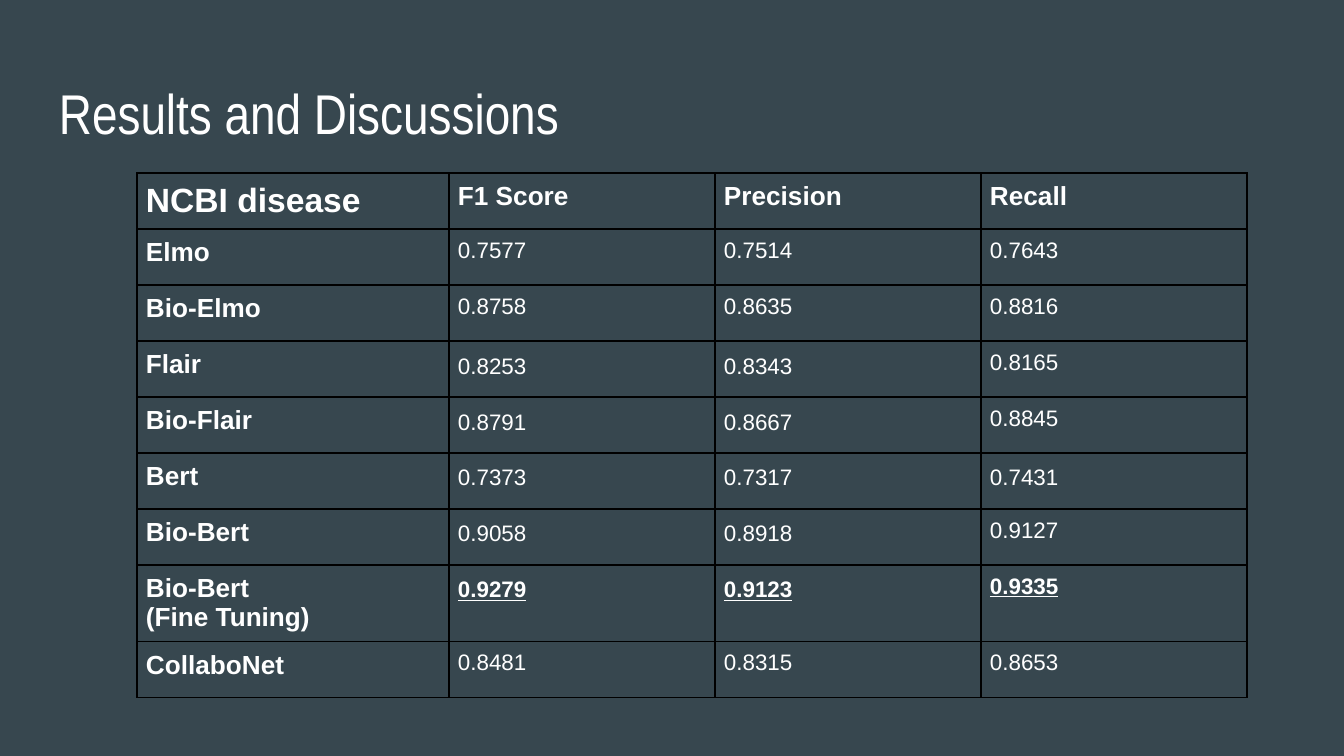
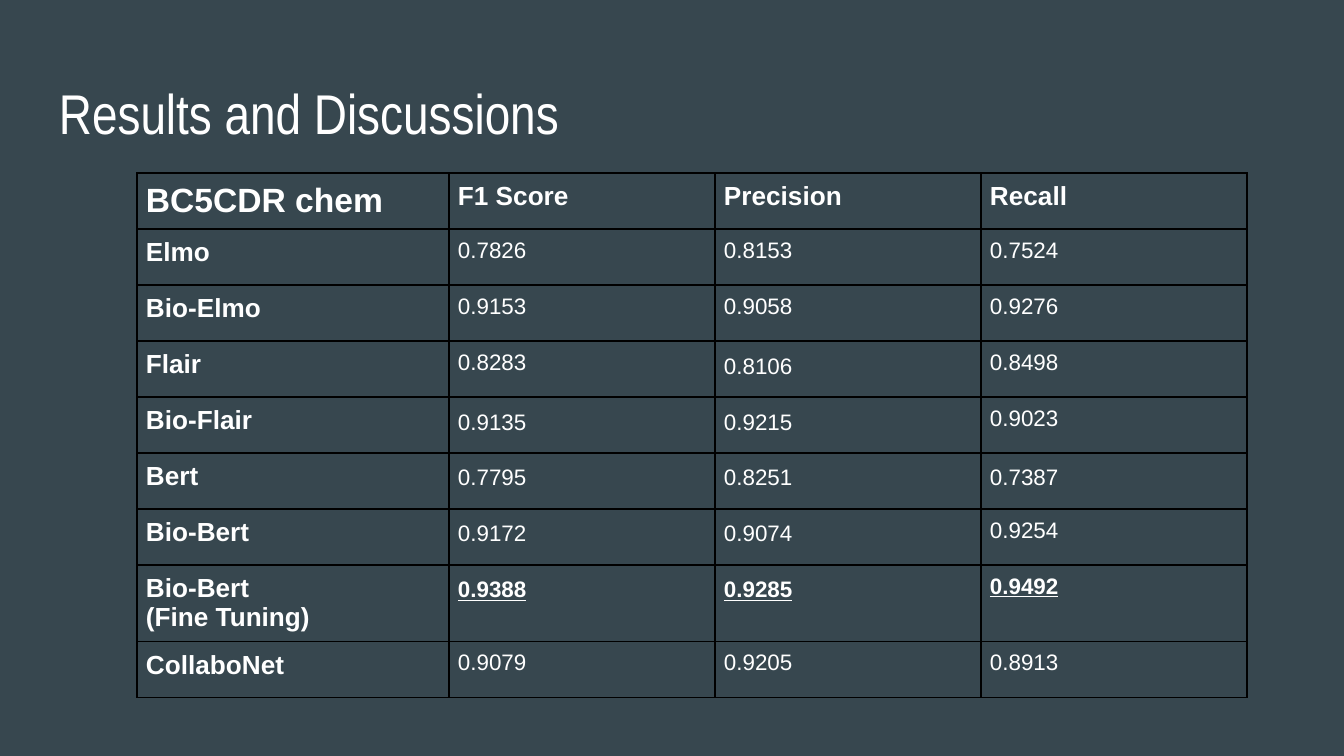
from dataclasses import dataclass

from lxml import etree
from pptx import Presentation
from pptx import util as u
from pptx.dml.color import RGBColor
from pptx.enum import text
from pptx.oxml.ns import qn

# Shared style
SCALE = 914400 / 134.4  # EMU in one pixel
BACKGROUND = RGBColor(0x37, 0x47, 0x4F)
WHITE = RGBColor(0xFF, 0xFF, 0xFF)
BORDER = RGBColor(0x00, 0x00, 0x00)
TITLE_FONT, BODY_FONT = "Arial Narrow", "Arial"
TITLE = "Results and Discussions"
HEADINGS = ("F1 Score", "Precision", "Recall")
COL_WIDTHS = (312, 266, 266, 266)
ROW_HEIGHT = 56
LOOSE_SPACING = 1.15


@dataclass(frozen=True)
class Model:
    name: str
    scores: tuple[str, str, str]
    loose: tuple[int, ...] = ()  # score columns with wider line spacing
    best: bool = False


@dataclass(frozen=True)
class Benchmark:
    dataset: str
    models: tuple[Model, ...]


BENCHMARKS = (
    Benchmark("NCBI disease", (
        Model("Elmo", ("0.7577", "0.7514", "0.7643")),
        Model("Bio-Elmo", ("0.8758", "0.8635", "0.8816")),
        Model("Flair", ("0.8253", "0.8343", "0.8165"), (0, 1)),
        Model("Bio-Flair", ("0.8791", "0.8667", "0.8845"), (0, 1)),
        Model("Bert", ("0.7373", "0.7317", "0.7431"), (0, 1, 2)),
        Model("Bio-Bert", ("0.9058", "0.8918", "0.9127"), (0, 1)),
        Model("Bio-Bert \n(Fine Tuning)", ("0.9279", "0.9123", "0.9335"), (0, 1), True),
        Model("CollaboNet", ("0.8481", "0.8315", "0.8653")),
    )),
    Benchmark("BC5CDR chem", (
        Model("Elmo", ("0.7826", "0.8153", "0.7524")),
        Model("Bio-Elmo", ("0.9153", "0.9058", "0.9276")),
        Model("Flair", ("0.8283", "0.8106", "0.8498"), (1,)),
        Model("Bio-Flair", ("0.9135", "0.9215", "0.9023"), (0, 1)),
        Model("Bert", ("0.7795", "0.8251", "0.7387"), (0, 1, 2)),
        Model("Bio-Bert", ("0.9172", "0.9074", "0.9254"), (0, 1)),
        Model("Bio-Bert \n(Fine Tuning)", ("0.9388", "0.9285", "0.9492"), (0, 1), True),
        Model("CollaboNet", ("0.9079", "0.9205", "0.8913")),
    )),
)


def px(n: int) -> u.Emu:
    return u.Emu(round(n * SCALE))


def set_margins(target, n: int) -> None:
    target.margin_left = target.margin_right = px(n)
    target.margin_top = target.margin_bottom = px(n)


def add_run(p, words: str, font: str, size: int, bold: bool = False,
            underline: bool = False) -> None:
    r = p.add_run()
    r.text = words
    r.font.name, r.font.size = font, u.Pt(size)
    r.font.bold, r.font.underline = bold, underline
    r.font.color.rgb = WHITE


def add_title(slide) -> None:
    sp = slide.shapes.title
    sp.left, sp.top, sp.width, sp.height = px(46), px(66), px(1252), px(85)
    tf = sp.text_frame
    tf.word_wrap = True
    tf.auto_size = text.MSO_AUTO_SIZE.NONE
    tf.vertical_anchor = text.MSO_ANCHOR.TOP
    set_margins(tf, 13)
    p = tf.paragraphs[0]
    p.alignment = text.PP_ALIGN.LEFT
    add_run(p, TITLE, TITLE_FONT, 30)


def add_borders(cell) -> None:
    props = cell._tc.get_or_add_tcPr()
    for side in ("lnL", "lnR", "lnT", "lnB"):
        line = etree.SubElement(props, qn(f"a:{side}"), w=str(u.Pt(1)))
        fill = etree.SubElement(line, qn("a:solidFill"))
        etree.SubElement(fill, qn("a:srgbClr"), val=str(BORDER))


def fill_cell(cell, words: str, size: int, bold: bool = True,
              underline: bool = False, loose: bool = False) -> None:
    add_borders(cell)
    cell.fill.background()
    set_margins(cell, 9)
    cell.vertical_anchor = text.MSO_ANCHOR.TOP
    p = cell.text_frame.paragraphs[0]
    if loose:
        p.line_spacing = LOOSE_SPACING
    for i, line in enumerate(words.split("\n")):
        if i:
            p.add_line_break()
        add_run(p, line, BODY_FONT, size, bold, underline)


def add_scores(slide, benchmark: Benchmark) -> None:
    rows = len(benchmark.models) + 1
    table = slide.shapes.add_table(
        rows, len(COL_WIDTHS), px(137), px(173),
        px(sum(COL_WIDTHS)), px(rows * ROW_HEIGHT)).table
    table.first_row = table.horz_banding = False
    for column, width in zip(table.columns, COL_WIDTHS):
        column.width = px(width)
    for row in table.rows:
        row.height = px(ROW_HEIGHT)

    # Header row
    fill_cell(table.cell(0, 0), benchmark.dataset, 18)
    for c, heading in enumerate(HEADINGS, 1):
        fill_cell(table.cell(0, c), heading, 14)

    # One row for each model
    for r, model in enumerate(benchmark.models, 1):
        fill_cell(table.cell(r, 0), model.name, 14)
        for c, score in enumerate(model.scores):
            fill_cell(table.cell(r, c + 1), score, 12, model.best, model.best,
                      c in model.loose)


prs = Presentation()
prs.slide_width, prs.slide_height = px(1344), px(756)
title_only = prs.slide_layouts[5]
for benchmark in BENCHMARKS:
    slide = prs.slides.add_slide(title_only)
    slide.background.fill.solid()
    slide.background.fill.fore_color.rgb = BACKGROUND
    add_title(slide)
    add_scores(slide, benchmark)
prs.save("out.pptx")
